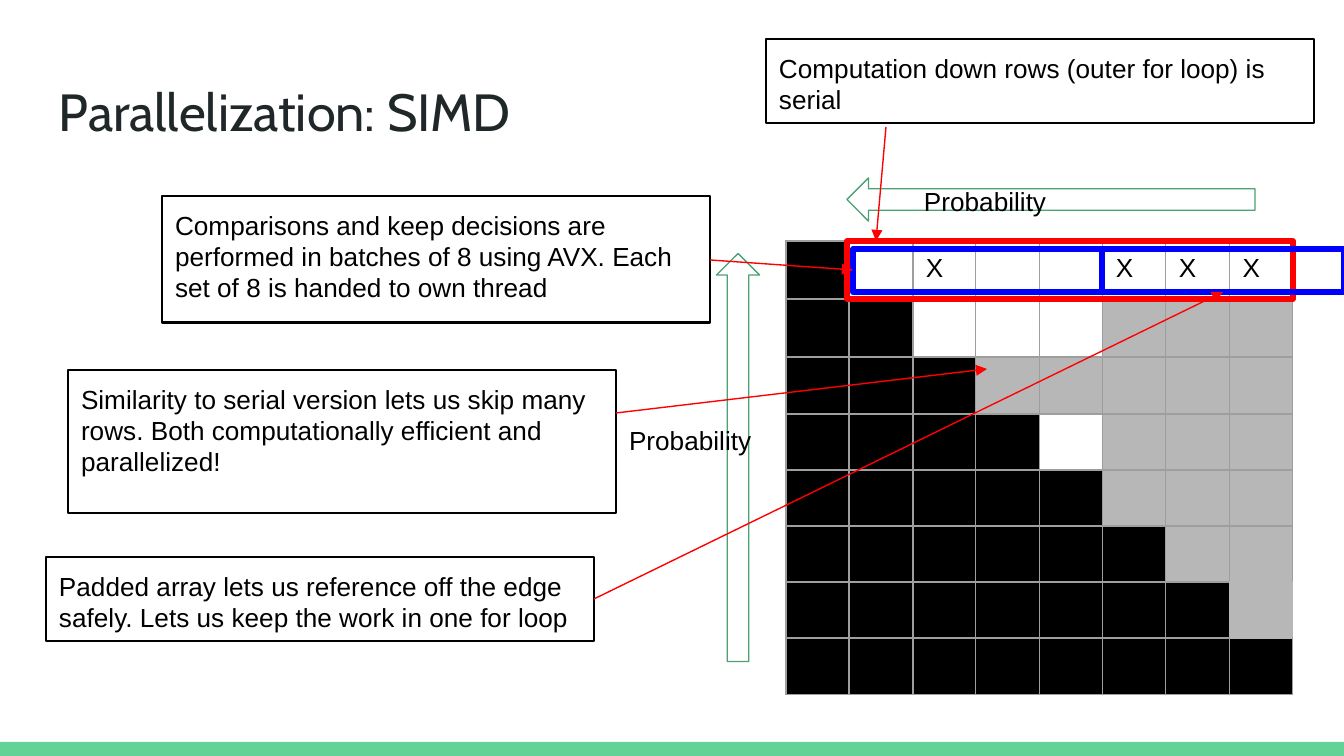
import lxml.etree
import pptx
import pptx.dml.color
import pptx.enum.shapes
import pptx.enum.text
import pptx.oxml
import pptx.oxml.ns
import pptx.util

PX = 914400 / 134.4
THEME = {
    "bar": "63D297", "title": "202729", "ink": "000000", "skip": "B7B7B7",
    "grid": "9E9E9E", "arrow": "4BA173", "serial": "FF0000", "batch": "0000FF",
    "title_font": {"name": "Cabin", "size": pptx.util.Pt(28)},
    "body_font": {"name": "Arial", "size": pptx.util.Pt(14)},
}
FRAME_FORMAT = {
    "word_wrap": True,
    "vertical_anchor": pptx.enum.text.MSO_ANCHOR.TOP,
    "margin_left": round(13 * PX), "margin_right": round(13 * PX),
    "margin_top": round(13 * PX), "margin_bottom": round(13 * PX),
}
SHAPES = pptx.enum.shapes.MSO_SHAPE


def write(frame, text, font="body_font", color="ink"):
    for name, value in FRAME_FORMAT.items():
        setattr(frame, name, value)
    paragraph = frame.paragraphs[0]
    paragraph.alignment = pptx.enum.text.PP_ALIGN.LEFT
    run = paragraph.add_run()
    run.text = text
    for name, value in THEME[font].items():
        setattr(run.font, name, value)
    run.font.color.rgb = pptx.dml.color.RGBColor.from_string(THEME[color])


def outline(kind, box, color, weight):
    shape = slide.shapes.add_shape(kind, *[round(value * PX) for value in box])
    shape.shadow.inherit = False
    shape.fill.background()
    shape.line.color.rgb = pptx.dml.color.RGBColor.from_string(THEME[color])
    shape.line.width = pptx.util.Pt(weight)
    return shape


presentation = pptx.Presentation()
presentation.slide_width = round(1344 * PX)
presentation.slide_height = round(756 * PX)
slide = presentation.slides.add_slide(presentation.slide_layouts[6])

bar = outline(SHAPES.RECTANGLE, (0, 742, 1344, 14), "bar", 0.75)
bar.fill.solid()
bar.fill.fore_color.rgb = pptx.dml.color.RGBColor.from_string(THEME["bar"])
bar.line.fill.background()

row_heights = [58, 58, 57, 56, 56, 56, 56, 57]
column_edges = [round(786 + 507 * index / 8) for index in range(9)]
matrix = [
    "#.X..XXX",
    "##...ggg",
    "###ggggg",
    "####.ggg",
    "#####ggg",
    "######gg",
    "#######g",
    "########",
]
cell_fills = {"#": "ink", "g": "skip"}
soft_edges = {(6, 7, side) for side in "LRTB"} | {(5, 7, "B"), (6, 6, "R"), (7, 7, "T")}
table_box = [round(value * PX) for value in (786, 241, 507, sum(row_heights))]
table = slide.shapes.add_table(8, 8, *table_box).table
table.first_row = False
table.horz_banding = False
for index, height in enumerate(row_heights):
    table.rows[index].height = round(height * PX)
    table.columns[index].width = round((column_edges[index + 1] - column_edges[index]) * PX)

for row, marks in enumerate(matrix):
    for column, mark in enumerate(marks):
        cell = table.cell(row, column)
        if mark == "X":
            write(cell.text_frame, mark)
            margin = round(13 * PX)
        else:
            margin = 0
        for side in ("left", "right", "top", "bottom"):
            setattr(cell, f"margin_{side}", margin)
        properties = cell._tc.get_or_add_tcPr()
        for side in "LRTB":
            color = THEME["skip" if (row, column, side) in soft_edges else "grid"]
            properties.append(pptx.oxml.parse_xml(
                f'<a:ln{side} {pptx.oxml.ns.nsdecls("a")} w="9525"><a:solidFill>'
                f'<a:srgbClr val="{color}"/></a:solidFill></a:ln{side}>'))
        if mark in cell_fills:
            cell.fill.solid()
            cell.fill.fore_color.rgb = pptx.dml.color.RGBColor.from_string(THEME[cell_fills[mark]])
        else:
            cell.fill.background()

for box, rotation in [((847, 178, 408, 43), 0), ((534, 436, 408, 43), 90)]:
    outline(SHAPES.LEFT_ARROW, box, "arrow", 0.75).rotation = rotation

labels = [
    ((46, 66, 1252, 85), "Parallelization: SIMD", "title_font", "title"),
    ((911, 172, 305, 40), "Probability", "body_font", "ink"),
    ((616, 411, 161, 40), "Probability", "body_font", "ink"),
]
for box, text, font, color in labels:
    label = slide.shapes.add_textbox(*[round(value * PX) for value in box])
    write(label.text_frame, text, font, color)

for box, color in [
    ((847, 241, 446, 58), "serial"),
    ((853, 249, 249, 43), "batch"),
    ((1102, 249, 242, 43), "batch"),
]:
    outline(SHAPES.RECTANGLE, box, color, 3)

callouts = [
    (766, 39, 84, "Computation down rows (outer for loop) is serial"),
    (162, 196, 127, "Comparisons and keep decisions are performed in batches of 8 using AVX. "
                    "Each set of 8 is handed to own thread"),
    (46, 557, 84, "Padded array lets us reference off the edge safely. "
                  "Lets us keep the work in one for loop"),
    (68, 370, 143, "Similarity to serial version lets us skip many rows. "
                   "Both computationally efficient and parallelized!"),
]
for left, top, height, text in callouts:
    callout = outline(SHAPES.RECTANGLE, (left, top, 548, height), "ink", 1.5)
    write(callout.text_frame, text)

pointers = [
    (886, 127, 876, 241),
    (710, 260, 853, 270),
    (594, 599, 1223, 292),
    (616, 413, 987, 369),
]
for ends in pointers:
    pointer = slide.shapes.add_connector(
        pptx.enum.shapes.MSO_CONNECTOR.STRAIGHT, *[round(value * PX) for value in ends])
    pointer.line.color.rgb = pptx.dml.color.RGBColor.from_string(THEME["serial"])
    pointer.line.width = pptx.util.Pt(0.75)
    head = lxml.etree.SubElement(pointer.line._get_or_add_ln(), pptx.oxml.ns.qn("a:tailEnd"))
    for name, value in {"type": "triangle", "w": "med", "len": "med"}.items():
        head.set(name, value)
    lxml.etree.SubElement(pointer._element.spPr, pptx.oxml.ns.qn("a:effectLst"))

presentation.save("out.pptx")
